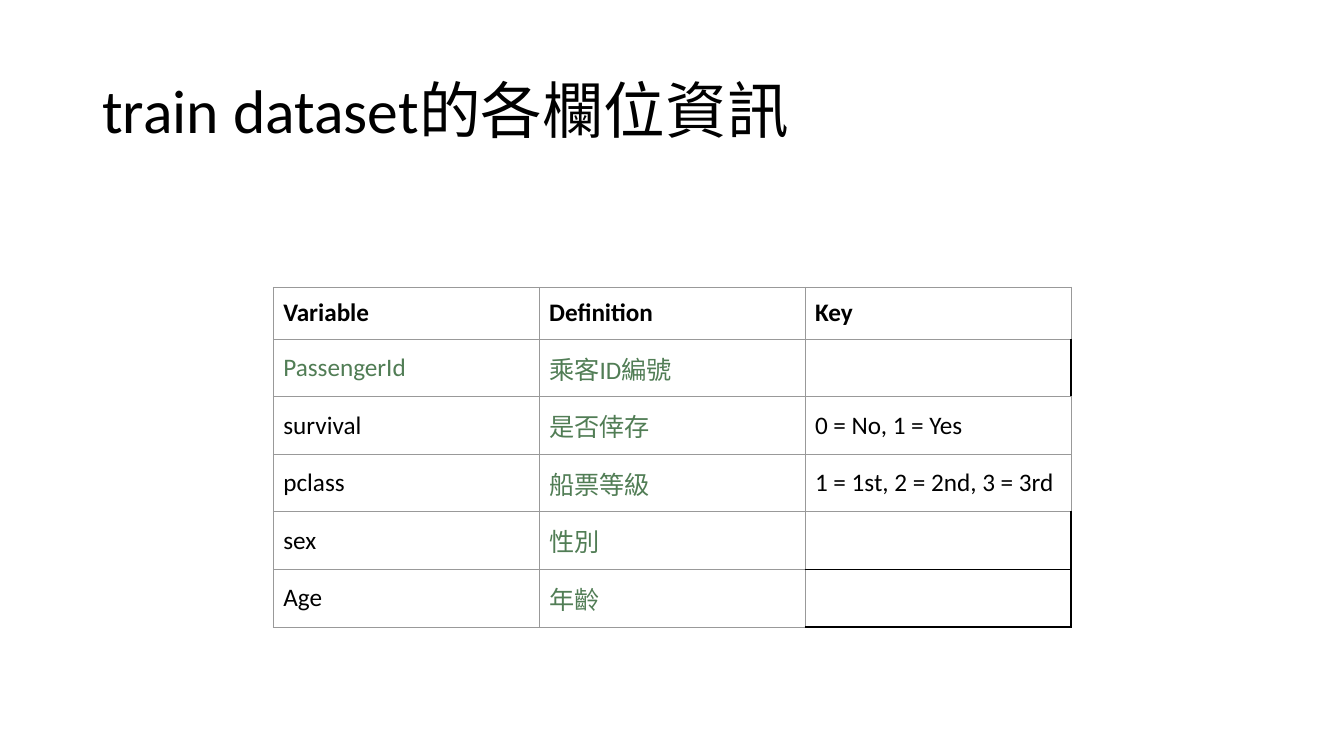
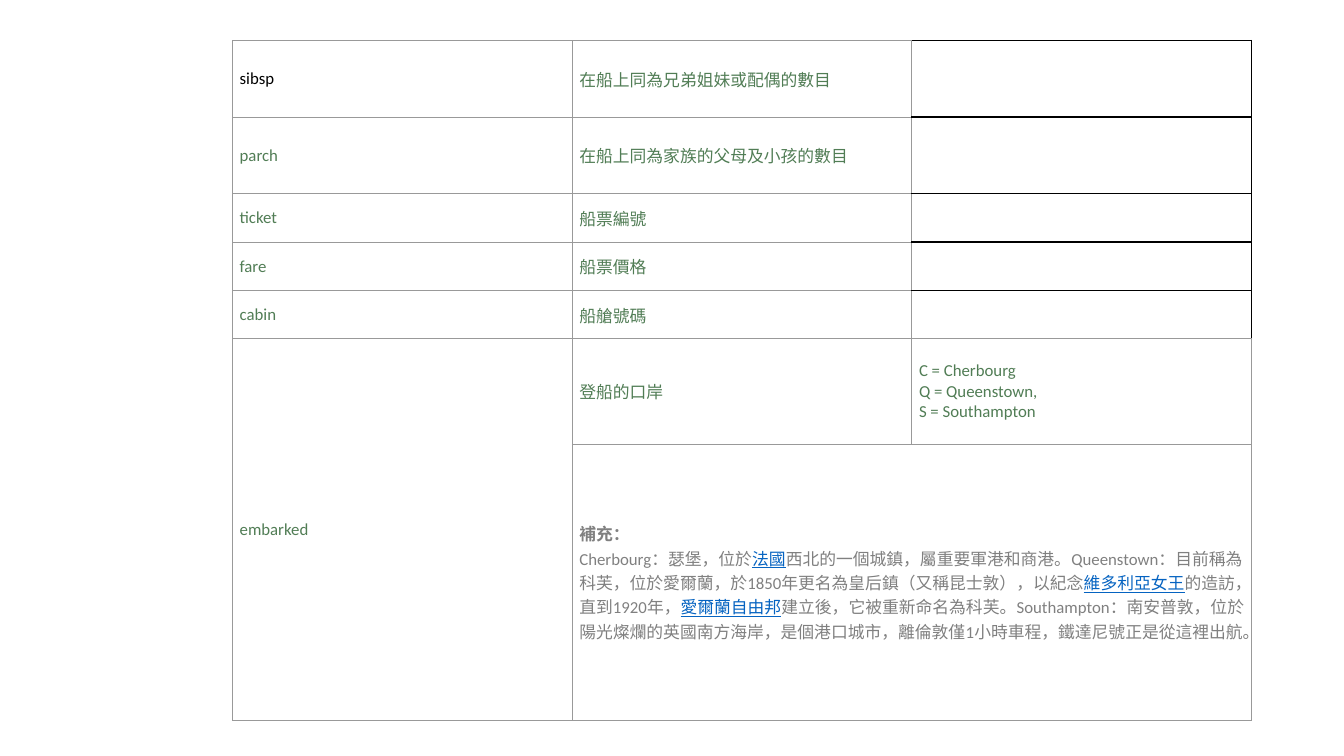
from lxml import etree
from pptx import Presentation
from pptx.dml.color import RGBColor
from pptx.enum.text import MSO_ANCHOR
from pptx.oxml.ns import qn
from pptx.util import Cm, Pt

MIDDLE = MSO_ANCHOR.MIDDLE

THEME = {
    "font": "Calibri",
    "title_size": 44,
    "line_spacing": 0.9,
    "grid": ("999999", 0.75),
    "empty_edge": ("000000", 1),
    "styles": {
        "header": {"color": "000000", "bold": True, "underline": False},
        "black": {"color": "000000", "bold": False, "underline": False},
        "green": {"color": "517D55", "bold": False, "underline": False},
        "note": {"color": "808080", "bold": False, "underline": False},
        "note_head": {"color": "808080", "bold": True, "underline": False},
        "term": {"color": "0563C1", "bold": False, "underline": True},
    },
}


def write_paragraphs(text_frame, paragraphs, size):
    for index, runs in enumerate(paragraphs):
        paragraph = text_frame.paragraphs[0] if index == 0 else text_frame.add_paragraph()
        for text, style in runs:
            run = paragraph.add_run()
            run.text = text
            values = dict(THEME["styles"][style])
            run.font.color.rgb = RGBColor.from_string(values.pop("color"))
            values.update(name=THEME["font"], size=Pt(size))
            for name, value in values.items():
                setattr(run.font, name, value)


def set_borders(cell, edges):
    properties = cell._tc.get_or_add_tcPr()
    for index, (side, (color, width)) in enumerate(edges.items()):
        line = etree.Element(qn(f"a:ln{side}"), w=str(Pt(width)))
        fill = etree.SubElement(line, qn("a:solidFill"))
        etree.SubElement(fill, qn("a:srgbClr"), val=color)
        properties.insert(index, line)


port_note = [
    [("補充：", "note_head")],
    [
        ("Cherbourg：瑟堡，位於", "note"),
        ("法國", "term"),
        ("西北的一個城鎮，屬重要軍港和商港。Queenstown：目前稱為科芙，"
         "位於愛爾蘭，於1850年更名為皇后鎮（又稱昆士敦），以紀念", "note"),
        ("維多利亞女王", "term"),
        ("的造訪，直到1920年，", "note"),
        ("愛爾蘭自由邦", "term"),
        ("建立後，它被重新命名為科芙。Southampton：南安普敦，"
         "位於陽光燦爛的英國南方海岸，是個港口城市，離倫敦僅1小時車程，"
         "鐵達尼號正是從這裡出航。", "note"),
    ],
]
ports = [[(port, "green")] for port in ("C = Cherbourg", "Q = Queenstown,", "S = Southampton")]

slides = [
    {
        "title": "train dataset的各欄位資訊",
        "left": 6.89, "top": 7.24, "column": 6.7, "heights": [1.31] + [1.45] * 5,
        "size": 18, "margin": 0.25, "merges": [],
        "rows": [
            [("Variable", "header"), ("Definition", "header"), ("Key", "header")],
            [("PassengerId", "green"), ("乘客ID編號", "green"), None],
            [("survival", "black"), ("是否倖存", "green"), ("0 = No, 1 = Yes", "black")],
            [("pclass", "black"), ("船票等級", "green"), ("1 = 1st, 2 = 2nd, 3 = 3rd", "black")],
            [("sex", "black"), ("性別", "green"), None],
            [("Age", "black"), ("年齡", "green"), None],
        ],
    },
    {
        "title": None,
        "left": 5.86, "top": 1.02, "column": 8.56,
        "heights": [1.93] * 2 + [1.22] * 3 + [2.65, 6.96],
        "size": 12, "margin": 0.18, "merges": [((5, 0), (6, 0)), ((6, 1), (6, 2))],
        "rows": [
            [("sibsp", "black"), ("在船上同為兄弟姐妹或配偶的數目", "green"), None],
            [("parch", "green"), ("在船上同為家族的父母及小孩的數目", "green"), None],
            [("ticket", "green"), ("船票編號", "green"), None],
            [("fare", "green"), ("船票價格", "green"), None],
            [("cabin", "green"), ("船艙號碼", "green"), None],
            [("embarked", "green"), ("登船的口岸", "green"), ports],
            [None, port_note, None],
        ],
    },
]

presentation = Presentation()
presentation.slide_width = Cm(33.87)
presentation.slide_height = Cm(19.05)
blank_layout = presentation.slide_layouts[6]

for content in slides:
    slide = presentation.slides.add_slide(blank_layout)

    if content["title"]:
        title = slide.shapes.add_textbox(Cm(2.33), Cm(1.01), Cm(29.21), Cm(3.68))
        title.text_frame.word_wrap = True
        title.text_frame.vertical_anchor = MIDDLE
        write_paragraphs(title.text_frame, [[(content["title"], "black")]], THEME["title_size"])
        title.text_frame.paragraphs[0].line_spacing = THEME["line_spacing"]

    rows, heights = content["rows"], content["heights"]
    column_count = len(rows[0])
    table = slide.shapes.add_table(
        len(rows), column_count, Cm(content["left"]), Cm(content["top"]),
        Cm(content["column"] * column_count), Cm(sum(heights)),
    ).table
    table.first_row = False
    table.horz_banding = False
    for column in table.columns:
        column.width = Cm(content["column"])
    for row, height in zip(table.rows, heights):
        row.height = Cm(height)
    for first, last in content["merges"]:
        table.cell(*first).merge(table.cell(*last))

    empty = {
        (r, c)
        for r, values in enumerate(rows)
        for c, value in enumerate(values)
        if value is None and not table.cell(r, c).is_spanned
    }
    for r, values in enumerate(rows):
        for c, value in enumerate(values):
            cell = table.cell(r, c)
            cell.fill.background()
            cell.vertical_anchor = MIDDLE
            for side in ("left", "right", "top", "bottom"):
                setattr(cell, f"margin_{side}", Cm(content["margin"]))
            edges = dict.fromkeys("LRTB", THEME["grid"])
            if (r, c) in empty:
                edges["R"] = THEME["empty_edge"]
                if r == 0 or (r - 1, c) in empty:
                    edges["T"] = THEME["empty_edge"]
                if r == len(rows) - 1 or (r + 1, c) in empty:
                    edges["B"] = THEME["empty_edge"]
            set_borders(cell, edges)
            if value:
                paragraphs = value if isinstance(value, list) else [[value]]
                write_paragraphs(cell.text_frame, paragraphs, content["size"])

presentation.save("out.pptx")
